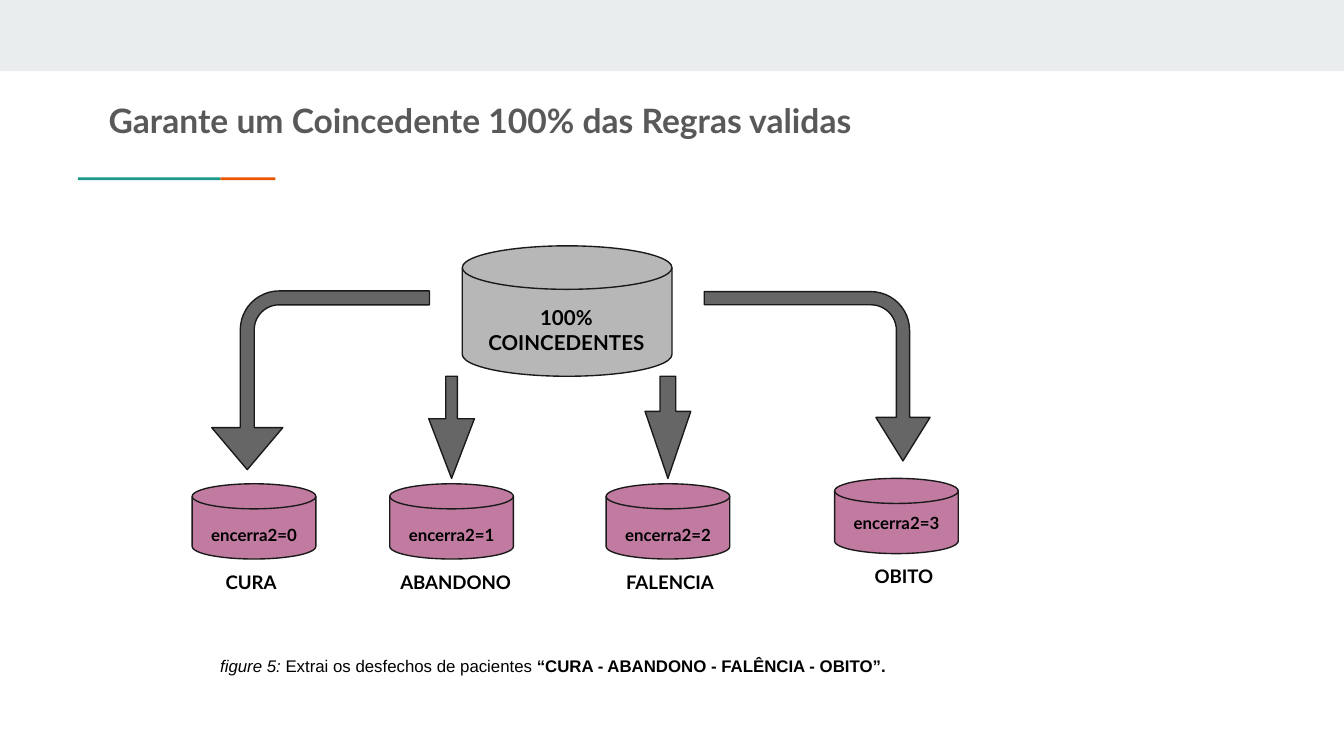
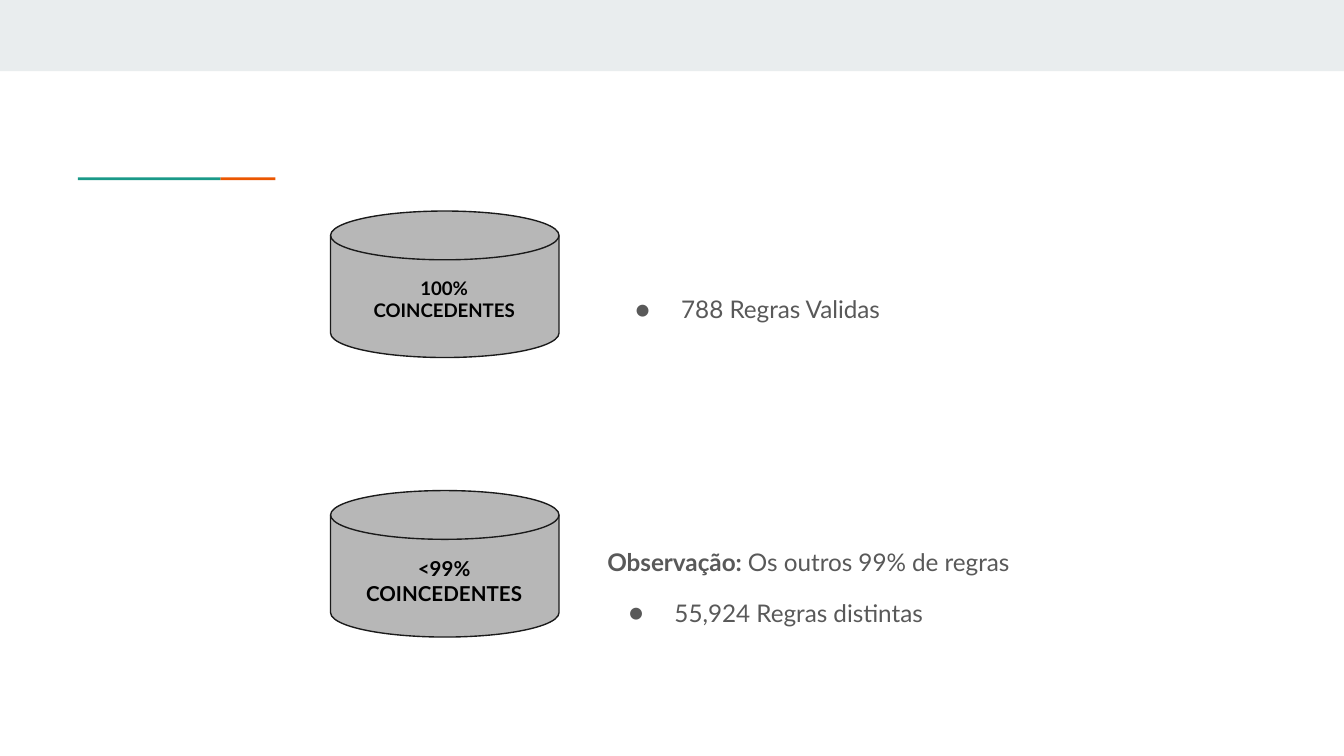
from dataclasses import dataclass

from lxml import etree
from pptx import Presentation
from pptx.dml.color import RGBColor
from pptx.enum import shapes, text
from pptx.oxml.ns import qn
from pptx.util import Inches, Pt

COLORS = {
    "band": "E9EDEE",
    "teal": "1A9988",
    "orange": "EB5600",
    "outline": "1A1A1A",
    "disk": "B7B7B7",
    "outcome": "C27BA0",
    "arrow": "666666",
    "body": "595959",
    "black": "000000",
}
SHAPE = shapes.MSO_SHAPE
DISK = SHAPE.FLOWCHART_MAGNETIC_DISK
CENTER = text.PP_ALIGN.CENTER


@dataclass(frozen=True)
class Box:
    left: float
    top: float
    width: float
    height: float

    def lengths(self) -> tuple:
        return tuple(Inches(v) for v in (self.left, self.top, self.width, self.height))


@dataclass(frozen=True)
class Run:
    text: str
    bold: bool = False
    italic: bool = False


@dataclass(frozen=True)
class Style:
    size: float
    color: str = "black"
    bold: bool = False
    align: text.PP_ALIGN | None = None
    font: str = "Lato"
    spacing: float | None = None
    bullet: bool = False


@dataclass(frozen=True)
class Arrow:
    kind: shapes.MSO_SHAPE
    box: Box
    adjustments: tuple[float, ...]
    rotation: float = 0
    flip: bool = False


@dataclass(frozen=True)
class Outcome:
    left: float
    top: float
    code: str
    code_drop: float
    name: str
    name_shift: float
    name_width: float


@dataclass(frozen=True)
class RuleGroup:
    top: float
    label: str
    label_size: float


ARROWS = (
    Arrow(SHAPE.BENT_ARROW, Box(1.72, 2.02, 1.33, 1.62),
          (0.078, 0.199, 0.235, 0.218), 270, True),
    Arrow(SHAPE.BENT_ARROW, Box(5.45, 1.96, 1.26, 1.68),
          (0.078, 0.16, 0.257, 0.229), 90),
    Arrow(SHAPE.DOWN_ARROW, Box(3.19, 2.8, 0.34, 0.76), (0.255, 1.305)),
    Arrow(SHAPE.DOWN_ARROW, Box(4.8, 2.8, 0.34, 0.76), (0.344, 1.465)),
)
OUTCOMES = (
    Outcome(1.43, 3.6, "encerra2=0", 0.23, "CURA", 0.15, 0.61),
    Outcome(2.9, 3.6, "encerra2=1", 0.23, "ABANDONO", -0.02, 1.09),
    Outcome(4.51, 3.6, "encerra2=2", 0.23, "FALENCIA", 0.05, 0.92),
    Outcome(6.21, 3.56, "encerra2=3", 0.18, "OBITO", 0.2, 0.77),
)
RULE_GROUPS = (
    RuleGroup(1.57, "100%\nCOINCEDENTES", 10),
    RuleGroup(3.65, "<99%\nCOINCEDENTES", 11),
)


def rgb(name: str) -> RGBColor:
    return RGBColor.from_string(COLORS[name])


def add_figure(s, kind, box: Box, fill: str, outlined: bool = True):
    sp = s.shapes.add_shape(kind, *box.lengths())
    sp.shadow.inherit = False
    sp.fill.solid()
    sp.fill.fore_color.rgb = rgb(fill)
    if outlined:
        sp.line.color.rgb = rgb("outline")
        sp.line.width = Pt(0.75)
    else:
        sp.line.fill.background()
    return sp


def add_bullet(p, style: Style) -> None:
    pPr = p._p.get_or_add_pPr()
    pPr.set("marL", str(Inches(0.5)))
    pPr.set("indent", str(Inches(-0.34)))
    bu_clr = etree.Element(qn("a:buClr"))
    etree.SubElement(bu_clr, qn("a:srgbClr"), val=COLORS[style.color])
    bu_font = etree.Element(qn("a:buFont"), typeface=style.font)
    bu_char = etree.Element(qn("a:buChar"), char="●")
    for i, element in enumerate((bu_clr, bu_font, bu_char)):
        pPr.insert(i, element)


def add_text(s, box: Box, content: str | tuple[Run, ...], style: Style) -> None:
    tf = s.shapes.add_textbox(*box.lengths()).text_frame
    tf.word_wrap = True
    tf.auto_size = text.MSO_AUTO_SIZE.SHAPE_TO_FIT_TEXT
    tf.margin_left = tf.margin_right = tf.margin_top = tf.margin_bottom = Inches(0.1)
    p = tf.paragraphs[0]
    if isinstance(content, str):
        p.text = content
        p.font.bold = style.bold
    else:
        for run in content:
            r = p.add_run()
            r.text = run.text
            r.font.bold = run.bold
            r.font.italic = run.italic
    p.font.name = style.font
    p.font.size = Pt(style.size)
    p.font.color.rgb = rgb(style.color)
    if style.align is not None:
        p.alignment = style.align
    if style.bullet:
        add_bullet(p, style)
    if style.spacing is not None:
        p.line_spacing = style.spacing


def add_arrow(s, arrow: Arrow) -> None:
    sp = add_figure(s, arrow.kind, arrow.box, "arrow")
    for i, value in enumerate(arrow.adjustments):
        sp.adjustments[i] = value
    sp.rotation = arrow.rotation
    if arrow.flip:
        sp._element.spPr.get_or_add_xfrm().set("flipH", "1")


def add_outcome(s, o: Outcome) -> None:
    add_figure(s, DISK, Box(o.left, o.top, 0.92, 0.56), "outcome")
    add_text(s, Box(o.left - 0.05, o.top + o.code_drop, 1.02, 0.29), o.code,
             Style(9, bold=True, align=CENTER))
    add_text(s, Box(o.left + o.name_shift, o.top + 0.56, o.name_width, 0.29), o.name,
             Style(10, bold=True))


def new_slide(prs):
    """Add a blank slide with the top band and the two-colour rule."""
    s = prs.slides.add_slide(prs.slide_layouts[6])
    for box, fill in (
        (Box(0, 0, 10, 0.53), "band"),
        (Box(1.64, 1.32, 0.41, 0.02), "orange"),
        (Box(0.58, 1.32, 1.06, 0.02), "teal"),
    ):
        add_figure(s, SHAPE.RECTANGLE, box, fill, outlined=False)
    return s


def build_outcomes_slide(prs) -> None:
    s = new_slide(prs)
    add_figure(s, DISK, Box(3.44, 1.83, 1.56, 0.97), "disk")
    add_text(s, Box(3.46, 2.17, 1.51, 0.4), "100%\nCOINCEDENTES",
             Style(11, bold=True, align=CENTER))
    for arrow in ARROWS:
        add_arrow(s, arrow)
    for outcome in OUTCOMES:
        add_outcome(s, outcome)
    caption = (
        Run("figure 5:", italic=True),
        Run(" Extrai os desfechos de pacientes "),
        Run("“CURA - ABANDONO - FALÊNCIA - OBITO”.", bold=True),
    )
    add_text(s, Box(1.54, 4.77, 5.94, 0.33), caption,
             Style(9, font="Arial", spacing=1.15))
    add_text(s, Box(0.71, 0.64, 7.51, 0.76),
             "Garante um Coincedente 100% das Regras validas",
             Style(18, "body", bold=True))


def build_rules_slide(prs) -> None:
    s = new_slide(prs)
    for group in RULE_GROUPS:
        add_figure(s, DISK, Box(2.46, group.top, 1.7, 1.09), "disk")
        add_text(s, Box(2.48, group.top + 0.39, 1.65, 0.45), group.label,
                 Style(group.label_size, bold=True, align=CENTER))
    note = (Run("Observação:", bold=True), Run(" Os outros 99% de regras"))
    add_text(s, Box(4.42, 3.97, 3.59, 0.45), note, Style(13, "body"))
    bullet = Style(13, "body", bullet=True)
    add_text(s, Box(4.47, 2.09, 2.71, 0.4), "788 Regras Validas", bullet)
    add_text(s, Box(4.42, 4.35, 3.18, 0.4), "55,924 Regras distintas", bullet)


def main() -> None:
    prs = Presentation()
    prs.slide_width = Inches(10)
    prs.slide_height = prs.slide_width * 9 // 16
    build_outcomes_slide(prs)
    build_rules_slide(prs)
    prs.save("out.pptx")


if __name__ == "__main__":
    main()
